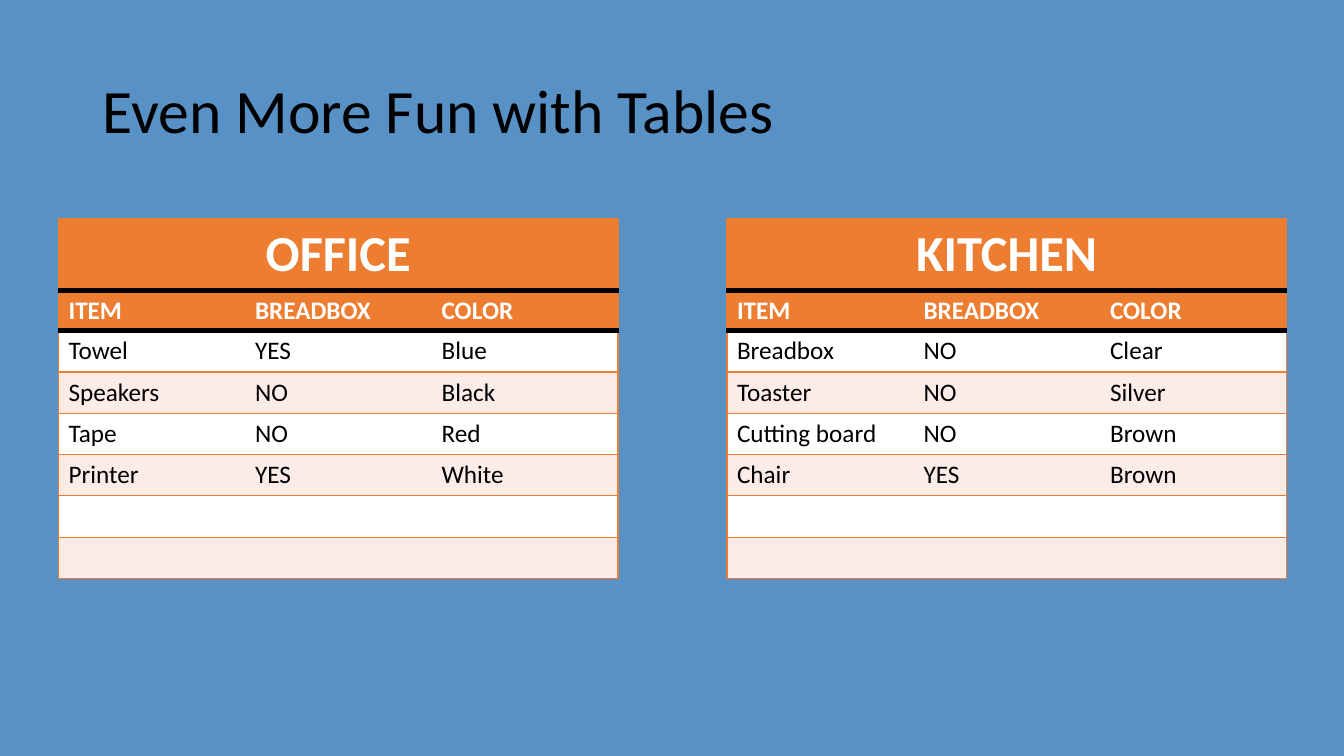
from lxml import etree
from pptx import Presentation
from pptx.dml.color import RGBColor
from pptx.enum.text import MSO_ANCHOR, PP_ALIGN
from pptx.oxml.ns import qn
from pptx.util import Inches, Pt

MIDDLE = MSO_ANCHOR.MIDDLE
CENTER = PP_ALIGN.CENTER
LEFT = PP_ALIGN.LEFT

BLUE = RGBColor(0x58, 0x91, 0xC5)
ORANGE = RGBColor(0xED, 0x7D, 0x31)
PINK = RGBColor(0xFC, 0xEC, 0xE8)
WHITE = RGBColor(0xFF, 0xFF, 0xFF)
BLACK = RGBColor(0, 0, 0)

FONT = "Calibri"
PLAIN = "{2D5ABB26-0587-4C30-8999-92F81FD0307C}"  # no style, no grid
THIN = (ORANGE, 1)
THICK = (BLACK, 4.5)
HEADS = ("ITEM", "BREADBOX", "COLOR")
COLS, ROWS = len(HEADS), 8
TOP, COL_W = 2.17, 1.85
HEIGHTS = [0.71, 0.4] + [0.41] * (ROWS - 2)

KITCHEN = [
    ("Breadbox", "NO", "Clear"),
    ("Toaster", "NO", "Silver"),
    ("Cutting board", "NO", "Brown"),
    ("Chair", "YES", "Brown"),
]
OFFICE = [
    ("Towel", "YES", "Blue"),
    ("Speakers", "NO", "Black"),
    ("Tape", "NO", "Red"),
    ("Printer", "YES", "White"),
]


def style(para, size, color, bold=False, align=LEFT):
    """Set the font and alignment of a paragraph."""
    para.alignment = align
    font = para.font
    for run in para.runs:
        font = run.font
    font.name, font.size, font.bold = FONT, Pt(size), bold
    font.color.rgb = color


def add_edge(cell, side, line):
    """Draw one border of a cell; side is L, R, T or B."""
    color, width = line
    edge = etree.SubElement(cell._tc.get_or_add_tcPr(), qn("a:ln" + side))
    edge.set("w", str(Pt(width)))
    fill = etree.SubElement(edge, qn("a:solidFill"))
    etree.SubElement(fill, qn("a:srgbClr")).set("val", str(color))


def paint(cell, row, col):
    """Give a cell its borders and fill by its place in the grid."""
    if col == 0:
        add_edge(cell, "L", THIN)
    if col == COLS - 1 or row == 0:
        add_edge(cell, "R", THIN)
    add_edge(cell, "T", THICK if row in (1, 2) else THIN)
    add_edge(cell, "B", THICK if row in (0, 1) else THIN)
    cell.fill.solid()
    if row < 2:
        cell.fill.fore_color.rgb = ORANGE
    else:
        cell.fill.fore_color.rgb = PINK if row % 2 else WHITE


def add_list(slide, left, name, items):
    """Add a table with a room name, column heads and its items."""
    frame = slide.shapes.add_table(
        ROWS, COLS, Inches(left), Inches(TOP),
        Inches(COL_W * COLS), Inches(sum(HEIGHTS)))
    table = frame.table
    table.first_row = table.horz_banding = False
    table._tbl.tblPr.find(qn("a:tableStyleId")).text = PLAIN
    for col in table.columns:
        col.width = Inches(COL_W)
    for row, height in zip(table.rows, HEIGHTS):
        row.height = Inches(height)
    table.cell(0, 0).merge(table.cell(0, COLS - 1))

    blank = ("",) * COLS
    lines = [(name, "", ""), HEADS] + items
    lines += [blank] * (ROWS - len(lines))
    for i, line in enumerate(lines):
        for j, text in enumerate(line):
            cell = table.cell(i, j)
            paint(cell, i, j)
            cell.text_frame.text = text
            para = cell.text_frame.paragraphs[0]
            if i == 0:
                style(para, 36, WHITE, True, CENTER)
            else:
                style(para, 18, WHITE if i == 1 else BLACK, i == 1)


def add_title(slide, text):
    """Add the slide heading."""
    box = slide.shapes.add_textbox(
        Inches(0.92), Inches(0.4), Inches(11.5), Inches(1.45))
    frame = box.text_frame
    frame.word_wrap = True
    frame.vertical_anchor = MIDDLE
    frame.text = text
    para = frame.paragraphs[0]
    para.line_spacing = 0.9
    style(para, 44, BLACK)


def main():
    """Build the slide and save it."""
    deck = Presentation()
    deck.slide_width, deck.slide_height = Inches(13.33), Inches(7.5)
    slide = deck.slides.add_slide(deck.slide_layouts[6])
    back = slide.background.fill
    back.solid()
    back.fore_color.rgb = BLUE
    add_title(slide, "Even More Fun with Tables")
    add_list(slide, 7.21, "KITCHEN", KITCHEN)
    add_list(slide, 0.58, "OFFICE", OFFICE)
    deck.save("out.pptx")


main()
